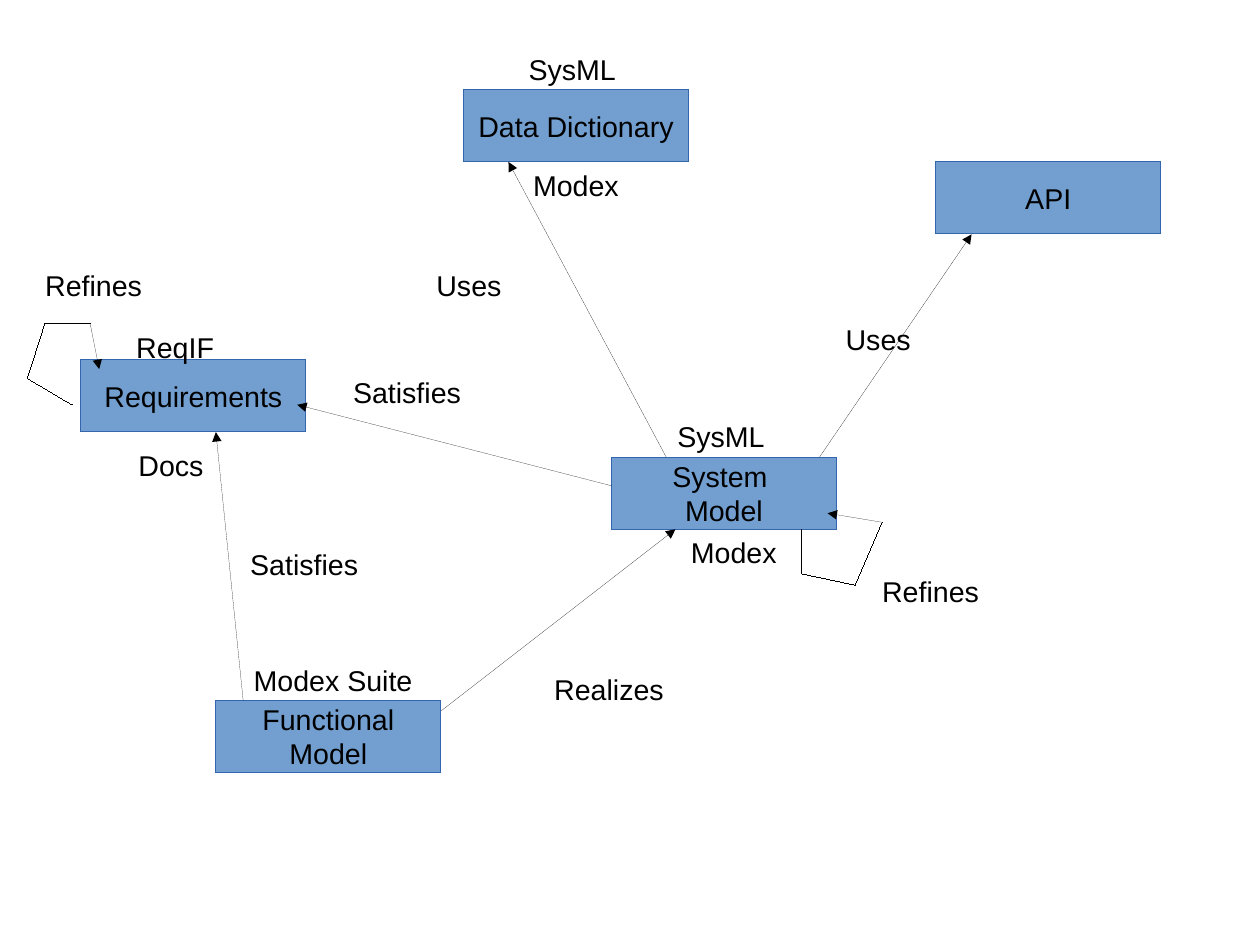
from itertools import pairwise

from pptx import Presentation
from pptx.dml.color import RGBColor
from pptx.enum.shapes import MSO_CONNECTOR, MSO_SHAPE
from pptx.enum.text import MSO_ANCHOR, MSO_AUTO_SIZE, PP_ALIGN
from pptx.oxml.ns import qn
from pptx.util import Pt
from lxml import etree

BLACK = RGBColor(0x00, 0x00, 0x00)
BOX_FILL = RGBColor(0x72, 0x9F, 0xCF)
BOX_LINE = RGBColor(0x34, 0x65, 0xAF)
BOX_W, BOX_H = 141.73, 45.35
LABEL_H = 27.5

prs = Presentation()
prs.slide_width, prs.slide_height = Pt(793.7), Pt(595.28)
s = prs.slides.add_slide(prs.slide_layouts[6])


def write(tf, text, align):
    """Fill a text frame with unwrapped 18 pt Arial, one paragraph a line."""
    tf.word_wrap = False
    tf.text = text
    for p in tf.paragraphs:
        p.alignment = align
        for r in p.runs:
            r.font.name, r.font.size = "Arial", Pt(18)
            r.font.color.rgb = BLACK


def hairline(sp, color):
    """Give a shape a line of zero width and return its XML element."""
    sp.line.color.rgb = color
    ln = sp._element.spPr.find(qn("a:ln"))
    ln.set("w", "0")
    return ln


# Models: text, left, top
boxes = [
    ("Requirements", 51, 226.6),
    ("Data Dictionary", 292, 56.6),
    ("API", 589.5, 102),
    ("Functional\nModel", 136, 441.2),
    ("System \nModel", 385.2, 288),
]
for text, x, y in boxes:
    sp = s.shapes.add_shape(MSO_SHAPE.RECTANGLE, Pt(x), Pt(y), Pt(BOX_W), Pt(BOX_H))
    sp.shadow.inherit = False
    sp.fill.solid()
    sp.fill.fore_color.rgb = BOX_FILL
    hairline(sp, BOX_LINE)
    sp.text_frame.vertical_anchor = MSO_ANCHOR.MIDDLE
    write(sp.text_frame, text, PP_ALIGN.CENTER)

# Relations; the last segment of each path carries the arrowhead
relations = [
    [(277.9, 447.8), (425.5, 333.4)],
    [(504.6, 333.4), (504.6, 361.4), (538.6, 368.6), (555.6, 329), (521.3, 323.3)],
    [(153.2, 441.3), (136, 272.2)],
    [(385.2, 306), (187.2, 255)],
    [(45.4, 255), (17.2, 238.3), (28.2, 203.8), (56.8, 203.8), (62.5, 232.5)],
    [(419.7, 288), (320.3, 102)],
    [(516.2, 288), (612, 147.6)],
]
for path in relations:
    for start, end in pairwise(path):
        c = s.shapes.add_connector(MSO_CONNECTOR.STRAIGHT, *map(Pt, start + end))
        ln = hairline(c, BLACK)
        if end == path[-1]:
            etree.SubElement(ln, qn("a:tailEnd"), type="triangle")
        etree.SubElement(c._element.spPr, qn("a:effectLst"))

# Labels: text, left, top, width
formats = [
    ("ReqIF", 77.8, 204, 65),
    ("SysML", 324.5, 29.3, 72),
    ("SysML", 418.2, 260.6, 72),
    ("Docs", 78.2, 278.6, 59),
    ("Modex", 320.3, 102.2, 85),
    ("Modex", 419.7, 333.4, 85),
    ("Modex Suite", 147.6, 414, 124.5),
]
relation_names = [
    ("Realizes", 342, 420, 85),
    ("Refines", 548.6, 358.2, 77),
    ("Satisfies", 215.3, 232.5, 85),
    ("Satisfies", 150.5, 341, 85),
    ("Refines", 21.4, 165.2, 77),
    ("Uses", 267.8, 165.2, 57),
    ("Uses", 525.6, 199.2, 57),
]
for labels, align in ((formats, PP_ALIGN.CENTER), (relation_names, PP_ALIGN.LEFT)):
    for text, x, y, w in labels:
        tb = s.shapes.add_textbox(Pt(x), Pt(y), Pt(w), Pt(LABEL_H))
        write(tb.text_frame, text, align)
        tb.text_frame.auto_size = MSO_AUTO_SIZE.SHAPE_TO_FIT_TEXT

prs.save("out.pptx")
